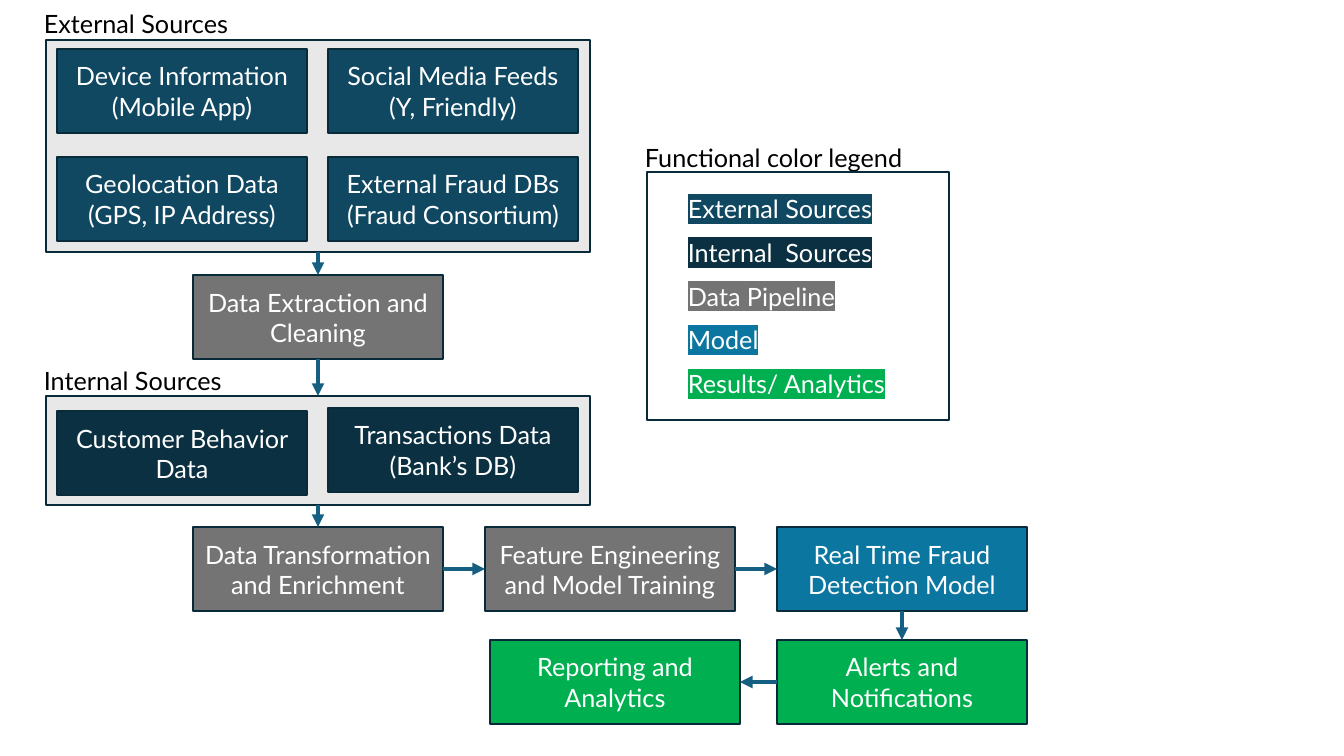
from lxml.etree import SubElement
from pptx import Presentation
from pptx.dml.color import RGBColor
from pptx.enum.shapes import MSO_CONNECTOR, MSO_SHAPE
from pptx.enum.text import MSO_ANCHOR, PP_ALIGN
from pptx.oxml.ns import qn
from pptx.util import Emu, Pt

# Content
FONT, FONT_SIZE = "Lato", 18
EXTERNAL, INTERNAL, PIPELINE = "104862", "0B3041", "747474"
MODEL, RESULTS = "0B76A0", "00B050"
PANEL, OUTLINE, ARROW = "E8E8E8", "092A39", "156082"
WHITE, BLACK = "FFFFFF", "000000"

PANELS = {  # name: left, top, width, height
    "internal": (46, 396, 544, 109),
    "external": (46, 40, 544, 212),
}
BOX_WIDTH, BOX_HEIGHT = 250, 84
BOXES = {  # name: text, colour, left, top
    "social": ("Social Media Feeds (Y, Friendly)", EXTERNAL, 328, 49),
    "device": ("Device Information (Mobile App)", EXTERNAL, 57, 49),
    "customer": ("Customer Behavior Data", INTERNAL, 57, 411),
    "geolocation": ("Geolocation Data (GPS, IP Address)", EXTERNAL, 57, 157),
    "fraud": ("External Fraud DBs\n(Fraud Consortium)", EXTERNAL, 328, 157),
    "transactions": ("Transactions Data (Bank’s DB)", INTERNAL, 328, 408),
    "extraction": ("Data Extraction and Cleaning", PIPELINE, 193, 275),
    "transformation": ("Data Transformation and Enrichment", PIPELINE, 193, 527),
    "training": ("Feature Engineering and Model Training", PIPELINE, 485, 527),
    "detection": ("Real Time Fraud Detection Model", MODEL, 777, 527),
    "alerts": ("Alerts and Notifications", RESULTS, 777, 640),
    "reporting": ("Reporting and Analytics", RESULTS, 490, 640),
}
TOP, LEFT, BOTTOM, RIGHT = range(4)
ARROWS = [
    ("external", BOTTOM, "extraction", TOP),
    ("extraction", BOTTOM, "internal", TOP),
    ("internal", BOTTOM, "transformation", TOP),
    ("transformation", RIGHT, "training", LEFT),
    ("training", RIGHT, "detection", LEFT),
    ("detection", BOTTOM, "alerts", TOP),
    ("alerts", LEFT, "reporting", RIGHT),
]
CAPTIONS = [  # text, left, top, width
    ("Internal Sources", 34, 360, 200),
    ("Functional color legend", 635, 137, 278),
    ("External Sources", 34, 3, 205),
]
LEGEND_AREA = (647, 172, 302, 248)
LEGEND_INDENT = 31
LEGEND = [
    ("External Sources", EXTERNAL),
    ("Internal  Sources", INTERNAL),
    ("Data Pipeline", PIPELINE),
    ("Model", MODEL),
    ("Results/ Analytics", RESULTS),
]


def px(length):
    return Emu(round(length * 914400 / 100.8))


def color(value):
    return RGBColor.from_string(value)


def format_paragraph(paragraph, text_color, alignment=PP_ALIGN.LEFT):
    paragraph.alignment = alignment
    paragraph.font.name = FONT
    paragraph.font.size = Pt(FONT_SIZE)
    paragraph.font.color.rgb = color(text_color)


def add_rectangle(area, fill=None):
    shape = slide.shapes.add_shape(MSO_SHAPE.RECTANGLE, *map(px, area))
    shape.shadow.inherit = False
    if fill:
        shape.fill.solid()
        shape.fill.fore_color.rgb = color(fill)
    else:
        shape.fill.background()
    shape.line.color.rgb = color(OUTLINE)
    shape.line.width = Pt(1.5)
    return shape


def add_box(text, fill, left, top):
    shape = add_rectangle((left, top, BOX_WIDTH, BOX_HEIGHT), fill)
    shape.text_frame.word_wrap = True
    shape.text_frame.vertical_anchor = MSO_ANCHOR.MIDDLE
    paragraph = shape.text_frame.paragraphs[0]
    paragraph.text = text
    format_paragraph(paragraph, WHITE, PP_ALIGN.CENTER)
    return shape


def add_arrow(start, start_side, end, end_side):
    connector = slide.shapes.add_connector(MSO_CONNECTOR.STRAIGHT, 0, 0, 0, 0)
    connector.begin_connect(start, start_side)
    connector.end_connect(end, end_side)
    connector.line.color.rgb = color(ARROW)
    connector.line.width = Pt(3)
    SubElement(connector.line._get_or_add_ln(), qn("a:tailEnd"), type="triangle")
    SubElement(connector._element.spPr, qn("a:effectLst"))


def add_highlight(run, value):
    highlight = SubElement(run._r.get_or_add_rPr(), qn("a:highlight"))
    SubElement(highlight, qn("a:srgbClr"), val=value)


presentation = Presentation()
presentation.slide_width, presentation.slide_height = px(1344), px(756)
slide = presentation.slides.add_slide(presentation.slide_layouts[6])

# Panels, boxes and the arrows between them
shapes = {name: add_rectangle(area, PANEL) for name, area in PANELS.items()}
shapes.update({name: add_box(*box) for name, box in BOXES.items()})
for start, start_side, end, end_side in ARROWS:
    add_arrow(shapes[start], start_side, shapes[end], end_side)

# Captions
for text, left, top, width in CAPTIONS:
    caption = slide.shapes.add_textbox(px(left), px(top), px(width), px(40))
    caption.text_frame.word_wrap = False
    paragraph = caption.text_frame.paragraphs[0]
    paragraph.text = text
    format_paragraph(paragraph, BLACK)

# Legend
legend = add_rectangle(LEGEND_AREA).text_frame
legend.word_wrap = True
legend.vertical_anchor = MSO_ANCHOR.MIDDLE
for index, (text, fill) in enumerate(LEGEND):
    paragraph = legend.add_paragraph() if index else legend.paragraphs[0]
    run = paragraph.add_run()
    run.text = text
    add_highlight(run, fill)
    format_paragraph(paragraph, WHITE)
    paragraph.space_before = Pt(9.6 if index else 0)
    paragraph._p.get_or_add_pPr().set("marL", str(px(LEGEND_INDENT)))

presentation.save("out.pptx")
